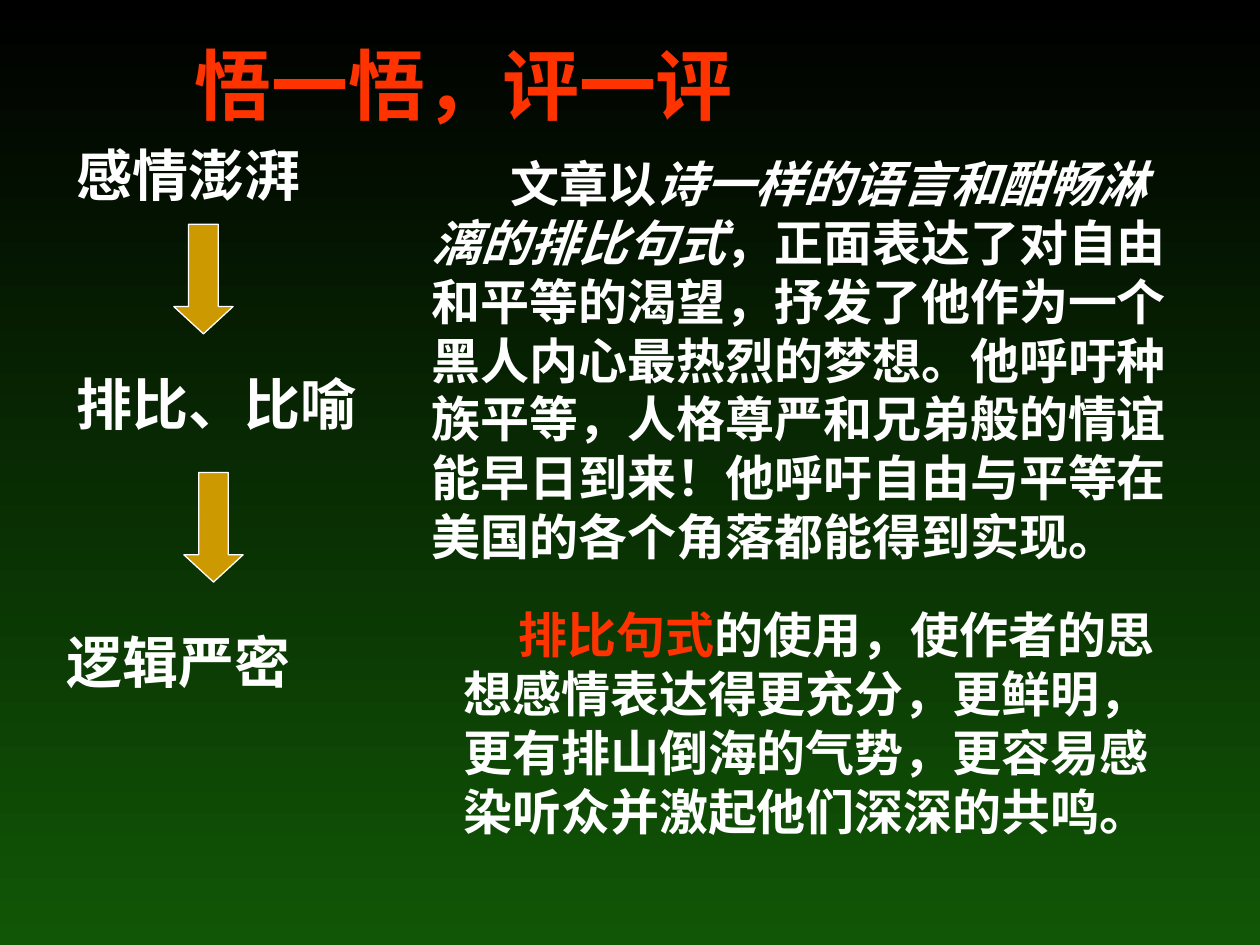
from pptx import Presentation
from pptx.dml.color import RGBColor
from pptx.enum.shapes import MSO_SHAPE
from pptx.enum.text import MSO_ANCHOR, PP_ALIGN
from pptx.util import Inches, Pt

DOWN_ARROW = MSO_SHAPE.DOWN_ARROW
TOP = MSO_ANCHOR.TOP
LEFT = PP_ALIGN.LEFT
COLORS = {"night": "000000", "forest": "115606", "white": "FFFFFF",
          "red": "FF3300", "gold": "CC9900"}


def rgb(name):
    """Return the named colour."""
    return RGBColor.from_string(COLORS[name])


def add_run(p, text, size=28, font="Times New Roman", color="white", italic=False):
    """Append a bold formatted run to a paragraph."""
    r = p.add_run()
    r.text = text
    r.font.size = Pt(size)
    r.font.name = font
    r.font.bold = True
    r.font.italic = italic
    r.font.color.rgb = rgb(color)


def set_box(sp, box, indent=0):
    """Place a text shape and return its first paragraph, indented."""
    sp.left, sp.top, sp.width, sp.height = [Inches(v) for v in box]
    tf = sp.text_frame
    tf.word_wrap = True
    tf.vertical_anchor = TOP
    p = tf.paragraphs[0]
    p.alignment = LEFT
    p._p.get_or_add_pPr().set("indent", str(Inches(indent)))
    return p


def add_background(s):
    """Fill the slide with a gradient running from top to bottom."""
    fill = s.background.fill
    fill.gradient()
    fill.gradient_angle = 270
    for stop, name in zip(fill.gradient_stops, ("night", "forest")):
        stop.color.rgb = rgb(name)


def add_title(s, box):
    """Fill the title placeholder."""
    p = set_box(s.shapes.title, box, indent=0.69)
    add_run(p, "悟一悟，评一评", size=44, color="red")


def add_label(s, text, box):
    """Add one step of the flow."""
    p = set_box(s.shapes.add_textbox(0, 0, 0, 0), box)
    add_run(p, text, size=32, font="Arial")


def add_arrow(s, box):
    """Add a gold arrow pointing to the next step."""
    sp = s.shapes.add_shape(DOWN_ARROW, *[Inches(v) for v in box])
    sp.adjustments[0] = 0.5
    sp.adjustments[1] = 0.46
    sp.shadow.inherit = False
    sp.fill.solid()
    sp.fill.fore_color.rgb = rgb("gold")
    sp.line.color.rgb = rgb("white")
    sp.line.width = Pt(0.75)


def add_flow(s, left, top):
    """Add the three steps and the arrows between them."""
    steps = [("感情澎湃", 0.08, 0, 2.36), ("排比、比喻", 0.08, 1.81, 2.76),
             ("逻辑严密", 0, 3.86, 2.95)]
    for text, dx, dy, width in steps:
        add_label(s, text, (left + dx, top + dy, width, 0.64))
    for dx, dy in [(0.95, 0.71), (1.03, 2.68)]:
        add_arrow(s, (left + dx, top + dy, 0.47, 0.87))


def add_comment(s, box, indent, runs):
    """Add a paragraph of commentary made of (text, format) runs."""
    p = set_box(s.shapes.add_textbox(0, 0, 0, 0), box, indent)
    for text, style in runs:
        add_run(p, text, **style)


def main():
    """Build and save the slide."""
    prs = Presentation()
    prs.slide_width, prs.slide_height = Inches(10), Inches(7.5)
    s = prs.slides.add_slide(prs.slide_layouts[5])
    add_background(s)
    add_flow(s, 0.43, 1.07)
    add_title(s, (0.75, 0.25, 8.17, 0.84))
    add_comment(s, (3.58, 4.75, 5.83, 1.97), 0.44, [
        ("排比句式", {"color": "red"}),
        ("的使用，使作者的思想感情表达得更充分，更鲜明，更有排山倒海的气势，"
         "更容易感染听众并激起他们深深的共鸣。", {})])
    add_comment(s, (3.33, 1.17, 6.08, 4.08), 0.62, [
        ("文章以", {}),
        ("诗一样的语言和酣畅淋漓的排比句式", {"italic": True}),
        ("，正面表达了对自由和平等的渴望，抒发了他作为一个黑人内心最热烈的梦想。"
         "他呼吁种族平等，人格尊严和兄弟般的情谊能早日到来！"
         "他呼吁自由与平等在美国的各个角落都能得到实现。", {})])
    prs.save("out.pptx")


if __name__ == "__main__":
    main()
